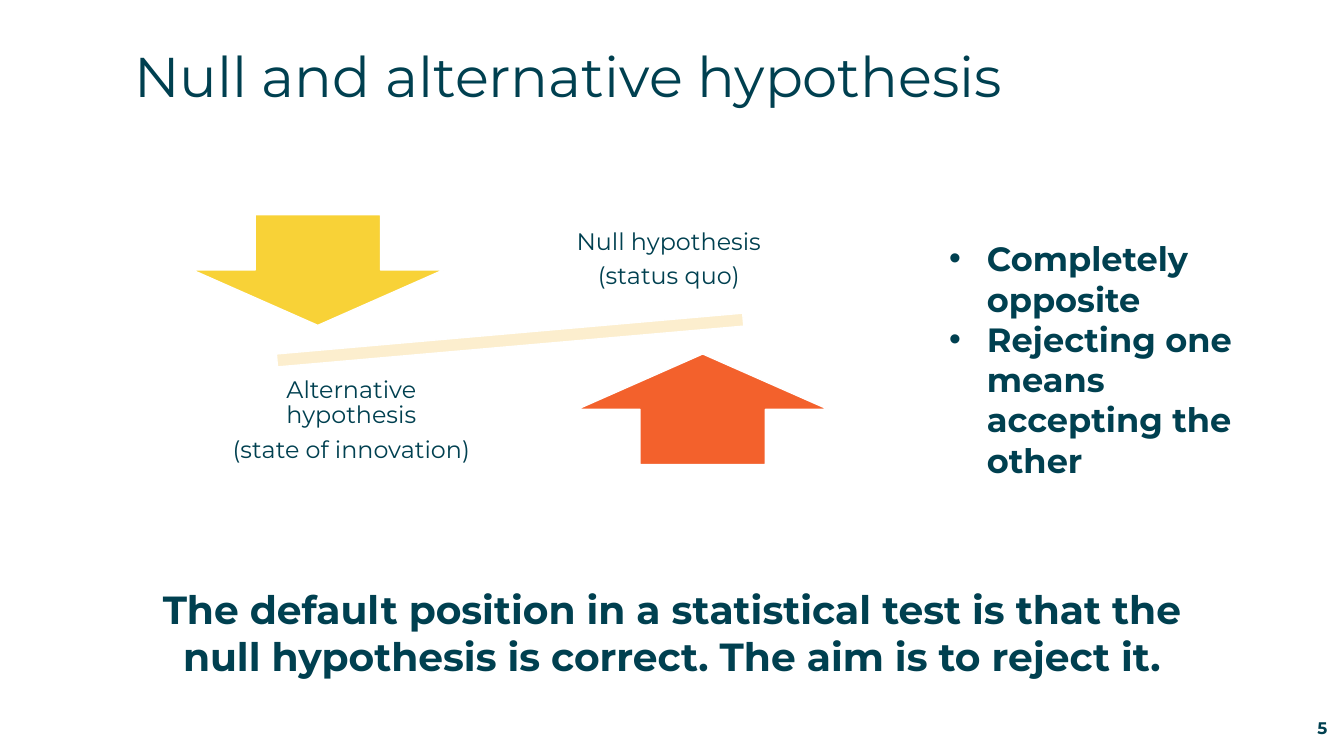
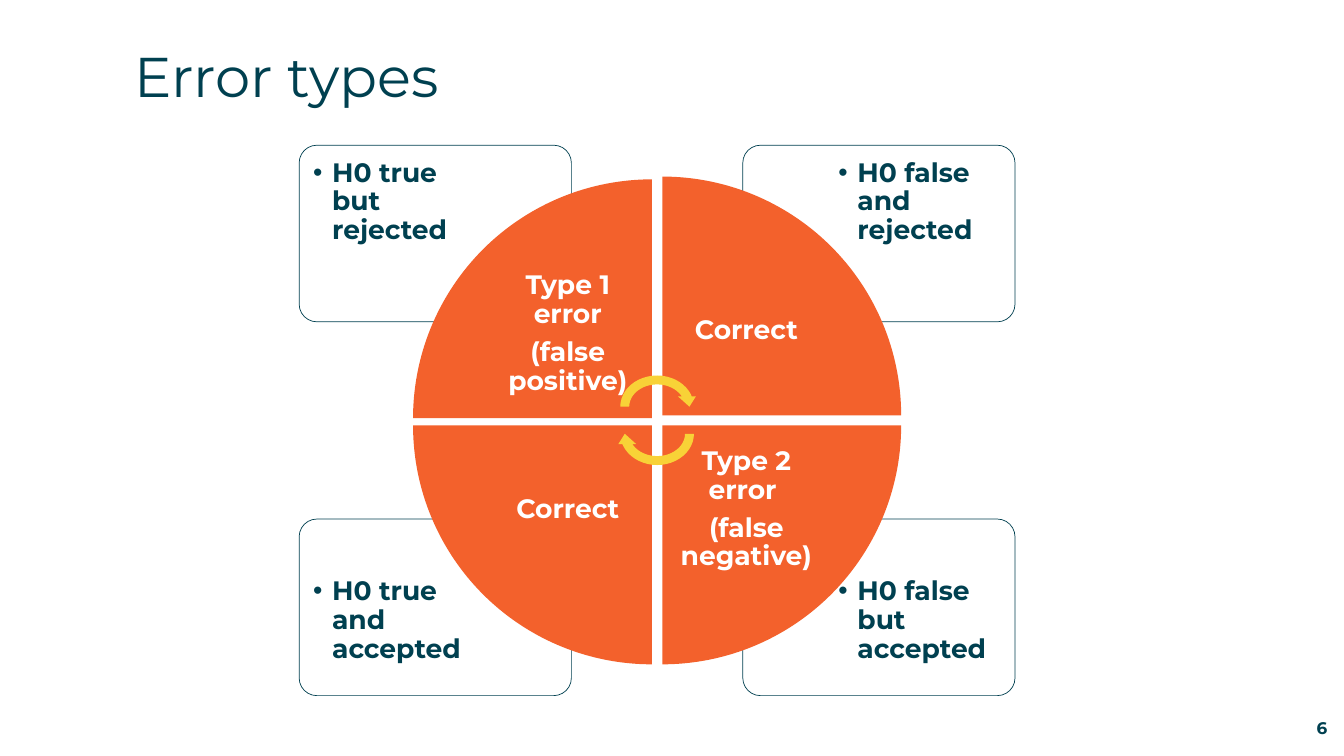
from dataclasses import dataclass
from typing import Optional

import lxml.etree
import pptx
import pptx.dml.color
import pptx.enum.shapes
import pptx.enum.text
import pptx.oxml.ns
import pptx.util

Cm = pptx.util.Cm
Pt = pptx.util.Pt
SHAPE = pptx.enum.shapes.MSO_SHAPE
ALIGN = pptx.enum.text.PP_ALIGN
ANCHOR = pptx.enum.text.MSO_ANCHOR

FONT = "Montserrat"
COLORS = {
    "ink": "004050",
    "white": "FFFFFF",
    "cream": "FCEECE",
    "yellow": "F8D237",
    "orange": "F3612C",
}


@dataclass(frozen=True)
class Area:
    """A rectangle in centimetres."""
    left: float
    top: float
    width: float
    height: float

    def lengths(self) -> list:
        return [Cm(v) for v in (self.left, self.top, self.width, self.height)]


@dataclass(frozen=True)
class TextStyle:
    size: float
    color: str = "ink"
    bold: bool = False
    align: ALIGN = ALIGN.LEFT
    anchor: ANCHOR = ANCHOR.TOP
    inset: Optional[tuple] = (0, 0)  # horizontal, vertical
    spacing: float = 1.0
    after: float = 0
    bullet_indent: float = 0


@dataclass(frozen=True)
class Quadrant:
    column: int
    row: int
    wedge_top: float
    rotation: int
    label: tuple
    note: str


STANDARD_INSET = (0.25, 0.13)
TITLE = TextStyle(40)
PAGE_NUMBER = TextStyle(12, bold=True, align=ALIGN.RIGHT, anchor=ANCHOR.BOTTOM)
BEAM_LABEL = TextStyle(17, align=ALIGN.CENTER, anchor=ANCHOR.MIDDLE,
                       inset=(0.33, 0.33), spacing=0.9, after=5.95)
BULLETS = TextStyle(24, bold=True, inset=STANDARD_INSET, bullet_indent=0.95)
CONCLUSION = TextStyle(28, bold=True, align=ALIGN.CENTER, inset=STANDARD_INSET)
CARD_NOTE = TextStyle(19, bold=True, inset=(0.25, 0.25), spacing=0.9,
                      after=2.85, bullet_indent=0.48)
WEDGE_LABEL = TextStyle(19, "white", True, ALIGN.CENTER, ANCHOR.MIDDLE,
                        (0.38, 0.38), 0.9, 6.65)

# Error wheel: cards behind, wedges in front
CARD_LEFTS, CARD_TOPS = (7.54, 18.72), (3.66, 13.08)
CARD_WIDTH, CARD_HEIGHT = 6.86, 4.45
NOTE_WIDTH, NOTE_HEIGHT, NOTE_MARGIN = 4.6, 3.12, 0.1
WEDGE_LEFTS, WEDGE_SIZE, LABEL_SIZE = (10.41, 16.69), 6.02, 4.24
QUADRANTS = (
    Quadrant(0, 0, 4.52, 0, ("Type 1 error", "(false positive)"),
             "H0 true but rejected"),
    Quadrant(1, 0, 4.45, 90, ("Correct",), "H0 false and rejected"),
    Quadrant(1, 1, 10.72, 180, ("Type 2 error ", "(false negative)"),
             "H0 false but accepted"),
    Quadrant(0, 1, 10.72, 270, ("Correct",), "H0 true and accepted"),
)


def rgb(name: str) -> pptx.dml.color.RGBColor:
    return pptx.dml.color.RGBColor.from_string(COLORS[name])


def add_bullet(para, indent: float) -> None:
    properties = para._p.get_or_add_pPr()
    properties.set("marL", str(Cm(indent)))
    properties.set("indent", str(-Cm(indent)))
    for tag, key, value in (("a:buFont", "typeface", "Arial"),
                            ("a:buChar", "char", "•")):
        name = pptx.oxml.ns.qn(tag)
        lxml.etree.SubElement(properties, name).set(key, value)


def add_text(page, area: Area, lines: tuple, style: TextStyle) -> None:
    box = page.shapes.add_textbox(*area.lengths())
    frame = box.text_frame
    frame.word_wrap = True
    frame.vertical_anchor = style.anchor
    frame.margin_left = frame.margin_right = Cm(style.inset[0])
    frame.margin_top = frame.margin_bottom = Cm(style.inset[1])
    for index, line in enumerate(lines):
        para = frame.add_paragraph() if index else frame.paragraphs[0]
        para.alignment = style.align
        para.line_spacing = style.spacing
        para.space_after = Pt(style.after)
        if style.bullet_indent:
            add_bullet(para, style.bullet_indent)
        span = para.add_run()
        span.text = line
        span.font.name = FONT
        span.font.size = Pt(style.size)
        span.font.bold = style.bold
        span.font.color.rgb = rgb(style.color)


def add_figure(page, kind: SHAPE, area: Area, fill: str, rotation: int = 0,
               line: Optional[str] = None, line_width: float = 1):
    shape = page.shapes.add_shape(kind, *area.lengths())
    shape.shadow.inherit = False
    shape.rotation = rotation
    shape.fill.solid()
    shape.fill.fore_color.rgb = rgb(fill)
    if line:
        shape.line.color.rgb = rgb(line)
        shape.line.width = Pt(line_width)
    else:
        shape.line.fill.background()
    return shape


def add_page(deck, title: str, number: int):
    page = deck.slides.add_slide(deck.slide_layouts[6])
    add_text(page, Area(3.38, 1.04, 29.44, 1.45), (title,), TITLE)
    add_text(page, Area(31.27, 18.08, 2.18, 0.51), (str(number),), PAGE_NUMBER)
    return page


def build_hypotheses(deck) -> None:
    page = add_page(deck, "Null and alternative hypothesis", 5)

    # Balance beam with opposing arrows
    add_figure(page, SHAPE.MATH_MINUS, Area(4.83, 7.87, 16.05, 1.4), "cream",
               355, "white")
    add_figure(page, SHAPE.DOWN_ARROW, Area(4.85, 5.41, 6.32, 2.79), "yellow",
               line="white")
    add_figure(page, SHAPE.UP_ARROW, Area(14.55, 8.92, 6.32, 2.79), "orange",
               line="white")
    add_text(page, Area(13.49, 5.08, 6.73, 2.95),
             ("Null hypothesis", "(status quo)"), BEAM_LABEL)
    add_text(page, Area(5.49, 9.12, 6.73, 2.95),
             ("Alternative hypothesis", "(state of innovation)"), BEAM_LABEL)

    # Key points and conclusion
    add_text(page, Area(23.67, 5.87, 8.18, 6.4),
             ("Completely opposite", "Rejecting one means accepting the other"),
             BULLETS)
    add_text(page, Area(2.9, 14.63, 28.07, 2.64),
             ("The default position in a statistical test is that the null "
              "hypothesis is correct. The aim is to reject it.",), CONCLUSION)


def add_card(page, quadrant: Quadrant) -> None:
    left, top = CARD_LEFTS[quadrant.column], CARD_TOPS[quadrant.row]
    card = add_figure(page, SHAPE.ROUNDED_RECTANGLE,
                      Area(left, top, CARD_WIDTH, CARD_HEIGHT), "white",
                      line="ink", line_width=0.5)
    card.adjustments[0] = 0.1
    # The note hugs the outer corner of its card
    shift_x = (CARD_WIDTH - NOTE_WIDTH - NOTE_MARGIN
               if quadrant.column else NOTE_MARGIN)
    shift_y = (CARD_HEIGHT - NOTE_HEIGHT - NOTE_MARGIN
               if quadrant.row else NOTE_MARGIN)
    add_text(page, Area(left + shift_x, top + shift_y, NOTE_WIDTH, NOTE_HEIGHT),
             (quadrant.note,), CARD_NOTE)


def add_wedge(page, quadrant: Quadrant) -> None:
    left, top = WEDGE_LEFTS[quadrant.column], quadrant.wedge_top
    add_figure(page, SHAPE.PIE_WEDGE, Area(left, top, WEDGE_SIZE, WEDGE_SIZE),
               "orange", quadrant.rotation)
    # The label sits against the centre of the wheel
    inward = WEDGE_SIZE - LABEL_SIZE
    add_text(page, Area(left + inward * (1 - quadrant.column),
                        top + inward * (1 - quadrant.row),
                        LABEL_SIZE, LABEL_SIZE), quadrant.label, WEDGE_LABEL)


def build_error_types(deck) -> None:
    page = add_page(deck, "Error types", 6)
    for add_part in (add_card, add_wedge):
        for quadrant in QUADRANTS:
            add_part(page, quadrant)

    # Cycle arrows at the hub
    for top, rotation in ((9.35, 0), (10.03, 180)):
        add_figure(page, SHAPE.CIRCULAR_ARROW, Area(15.52, top, 2.08, 1.8),
                   "yellow", rotation)


def main() -> None:
    deck = pptx.Presentation()
    deck.slide_width, deck.slide_height = Cm(33.87), Cm(19.05)
    build_hypotheses(deck)
    build_error_types(deck)
    deck.save("out.pptx")


if __name__ == "__main__":
    main()
